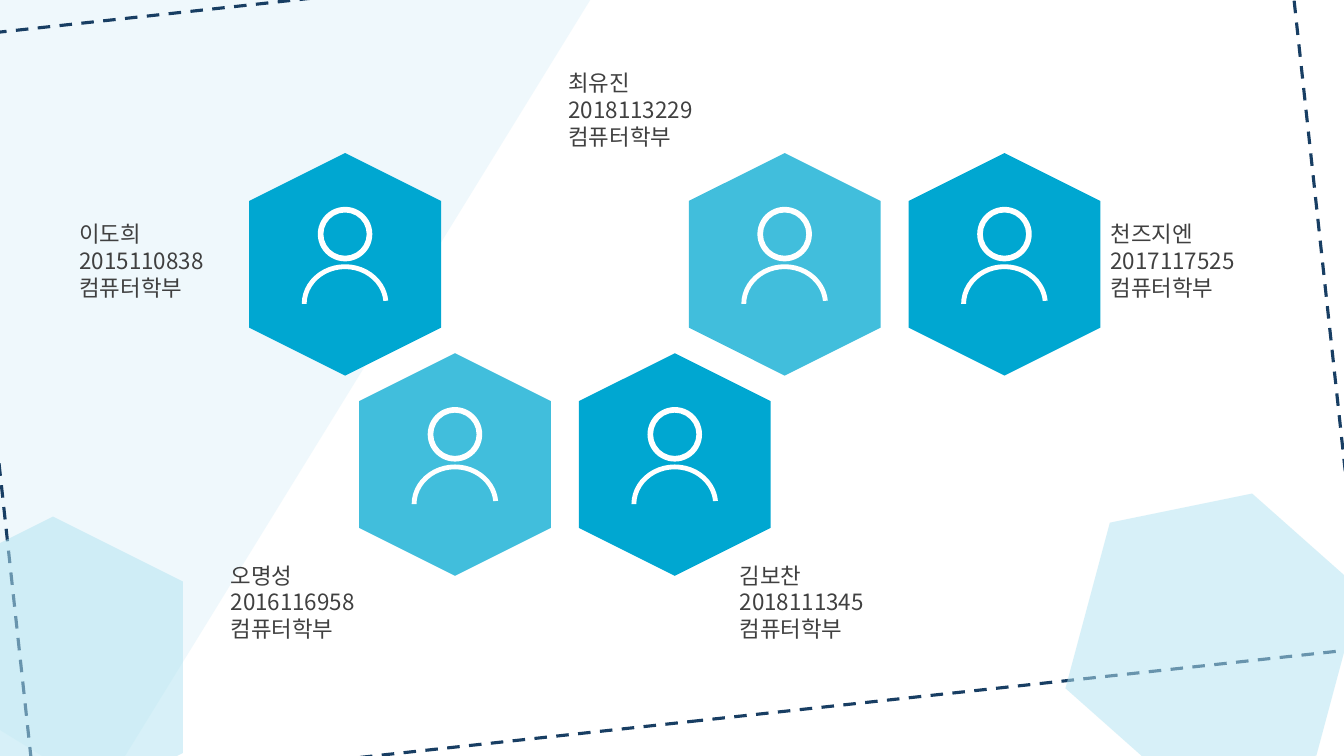
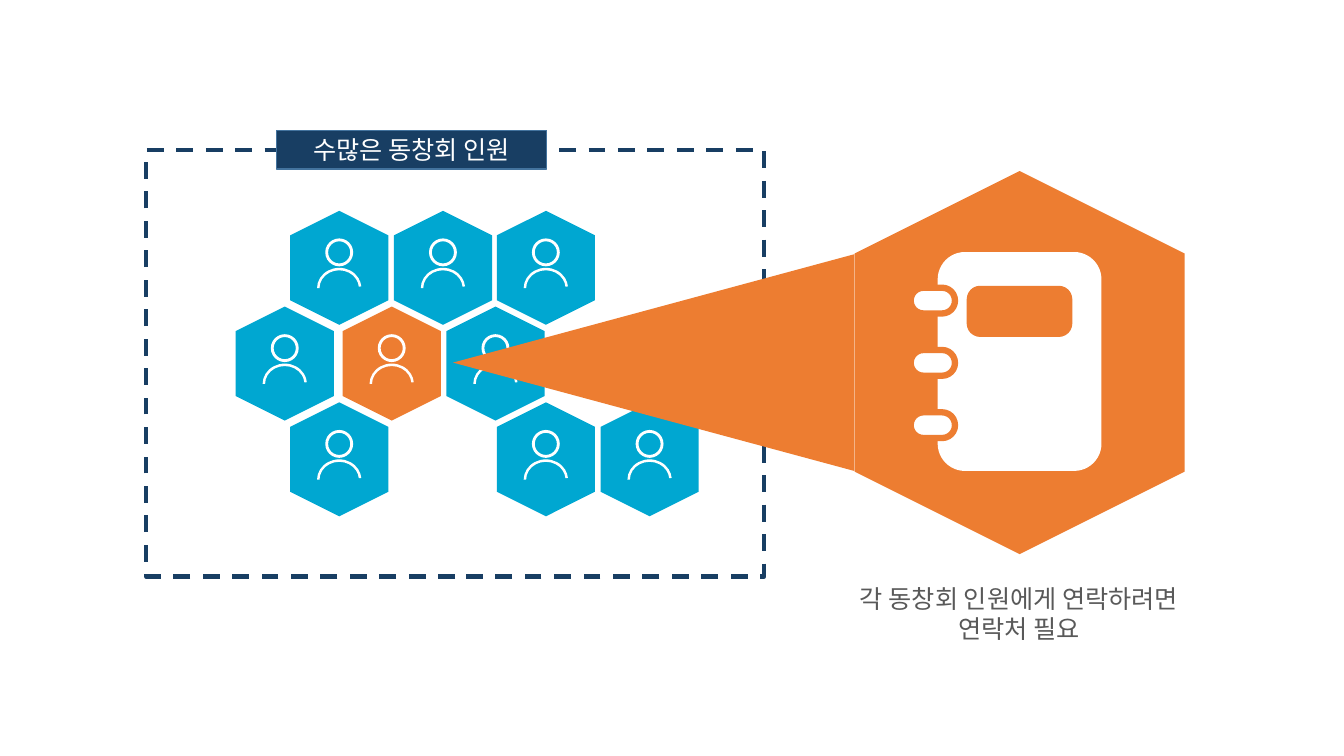
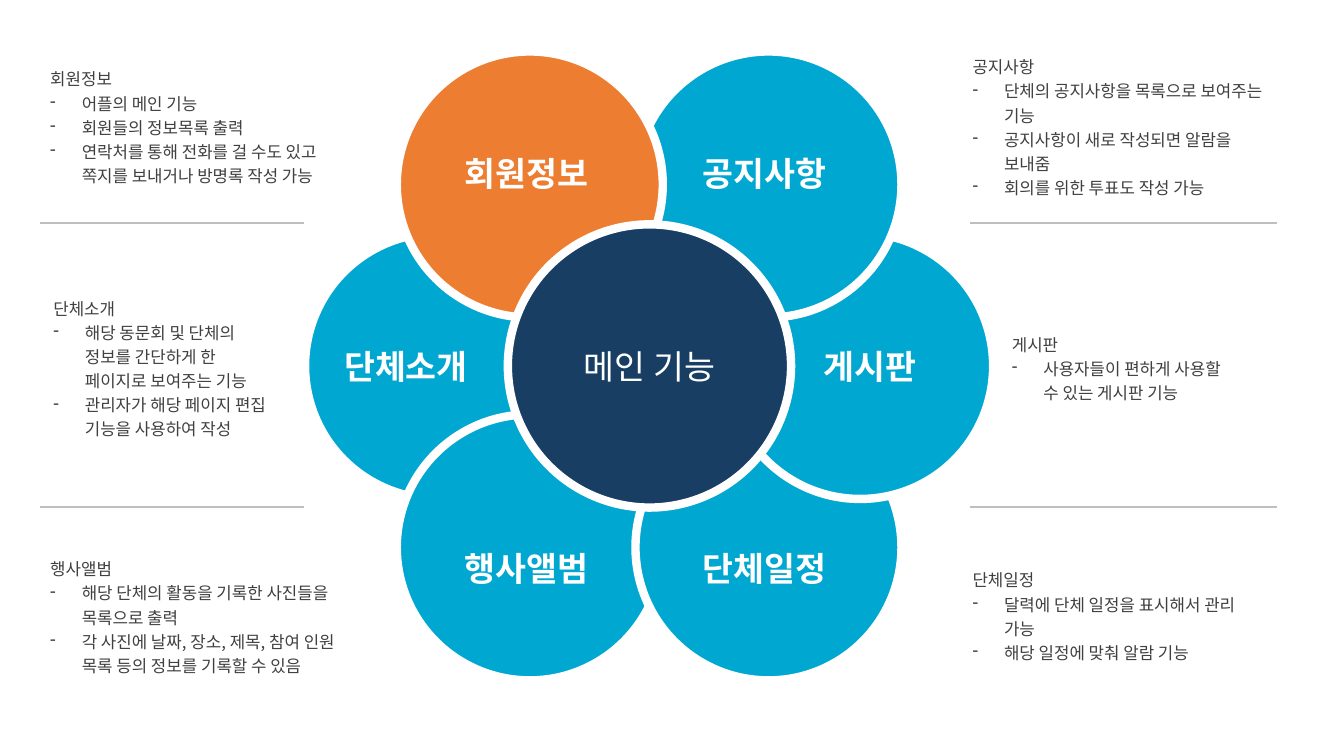
import pptx
import pptx.util
import pptx.dml.color
import pptx.enum.dml
import pptx.enum.shapes
import pptx.enum.text
import pptx.oxml.ns
from lxml import etree

Pt = pptx.util.Pt
SHAPE = pptx.enum.shapes.MSO_SHAPE
ALIGN = pptx.enum.text.PP_ALIGN
DASH = pptx.enum.dml.MSO_LINE.DASH
qn = pptx.oxml.ns.qn

SLIDE_W, SLIDE_H = 960, 540
FONT = "Noto Sans CJK KR"
COLORS = {
    "white": "FFFFFF", "blue": "00A7D1", "sky": "41BEDC", "ice": "B3E4F2",
    "mist": "EEF8FC", "navy": "183E63", "steel": "43739E", "orange": "ED7D31",
    "text": "404040", "caption": "595959", "rule": "BFBFBF",
}
FRAME_FORMAT = {
    "word_wrap": True,
    "vertical_anchor": pptx.enum.text.MSO_ANCHOR.MIDDLE,
    "margin_left": Pt(7.2), "margin_right": Pt(7.2),
    "margin_top": Pt(3.6), "margin_bottom": Pt(3.6),
}


# Shared helpers
def rgb(color):
    return pptx.dml.color.RGBColor.from_string(COLORS[color])


def apply_format(target, values):
    for attribute, value in values.items():
        setattr(target, attribute, value)


def centered(cx, cy, w, h):
    return cx - w / 2, cy - h / 2, w, h


def points(box):
    return [Pt(round(value, 2)) for value in box]


def add_figure(slide, kind, box, fill=None, line=None, rotation=0, adjust=(),
               opacity=None):
    """line is (color, width) or (color, width, dash style)."""
    figure = slide.shapes.add_shape(kind, *points(box))
    figure.shadow.inherit = False
    figure.rotation = rotation
    for index, value in enumerate(adjust):
        figure.adjustments[index] = value
    if fill:
        figure.fill.solid()
        figure.fill.fore_color.rgb = rgb(fill)
        if opacity:
            tint = figure._element.spPr.find(qn("a:solidFill"))[0]
            etree.SubElement(tint, qn("a:alpha"), val=str(opacity * 1000))
    else:
        figure.fill.background()
    if line:
        color, width, *dash = line
        figure.line.color.rgb = rgb(color)
        figure.line.width = Pt(width)
        if dash:
            figure.line.dash_style = dash[0]
    else:
        figure.line.fill.background()
    return figure


def add_bullet(paragraph):
    properties = paragraph._p.get_or_add_pPr()
    properties.set("marL", str(Pt(22.5)))
    properties.set("indent", str(-Pt(22.5)))
    etree.SubElement(properties, qn("a:buFontTx"))
    etree.SubElement(properties, qn("a:buChar"), char="-")


def write(holder, lines, size, color, align=ALIGN.LEFT, bold=False,
          spacing=None, bullets=False):
    frame = holder.text_frame
    apply_format(frame, FRAME_FORMAT)
    for index, line in enumerate(lines):
        paragraph = frame.add_paragraph() if index else frame.paragraphs[0]
        if bullets and index:
            add_bullet(paragraph)
        apply_format(paragraph, {"alignment": align, "line_spacing": spacing})
        run = paragraph.add_run()
        run.text = line
        apply_format(run.font, {"name": FONT, "size": Pt(size), "bold": bold})
        run.font.color.rgb = rgb(color)
        etree.SubElement(run._r.get_or_add_rPr(), qn("a:ea"), typeface=FONT)


def add_text(slide, box, lines, size, color, **style):
    write(slide.shapes.add_textbox(*points(box)), lines, size, color, **style)


def add_hexagon(slide, cx, cy, height, fill, rotation=90, opacity=None):
    box = centered(cx, cy, height, height * 0.862)
    add_figure(slide, SHAPE.HEXAGON, box, fill, rotation=rotation, opacity=opacity)


def add_person_badge(slide, cx, cy, height, fill):
    add_hexagon(slide, cx, cy, height, fill)
    head, shoulders_w, shoulders_h = (height * k for k in (0.245, 0.389, 0.357))
    add_figure(slide, SHAPE.DONUT,
               (cx - head / 2, cy - height * 0.258, head, head),
               "white", adjust=[0.103])
    add_figure(slide, SHAPE.BLOCK_ARC,
               (cx - shoulders_w / 2, cy, shoulders_w, shoulders_h),
               "white", adjust=[108, 213.327, 0.061])


# Slide 1: team members
MEMBERS = [  # column, row, fill, label position, name, student number
    (0, 0, "blue", (49.7, 144), "이도희", "2015110838"),
    (1, 1, "sky", (157.7, 388), "오명성", "2016116958"),
    (3, 1, "blue", (521.3, 388), "김보찬", "2018111345"),
    (4, 0, "sky", (399, 36), "최유진", "2018113229"),
    (6, 0, "blue", (786.2, 144), "천즈지엔", "2017117525"),
]


def team_backdrop(slide, box):
    x, y, w, h = box
    add_figure(slide, SHAPE.RECTANGLE, (x - 84.2, y - 149.8, 360, 671.8),
               "mist", rotation=31.6, opacity=89)


def team_members(slide, box):
    x, y, w, h = box
    for column, row, fill, (label_x, label_y), name, number in MEMBERS:
        add_person_badge(slide, x + 246.5 + column * 78.5,
                         y + 188.8 + row * 143, 159, fill)
        add_text(slide, (x + label_x, y + label_y, 128, 84),
                 [name, number, "컴퓨터학부"], 16, "text")


def team_overlay(slide, box):
    x, y, w, h = box
    add_figure(slide, SHAPE.RECTANGLE, (x - 7.2, y - 26.6, 955.4, 542.9),
               line=("navy", 2.25, DASH), rotation=353.8)
    for cx, cy, rotation in [(866.5, 456.5, 105), (37.8, 476.6, 90)]:
        add_hexagon(slide, x + cx, y + cy, 215.3, "ice", rotation, 52)


def build_team(slide):
    page = (0, 0, SLIDE_W, SLIDE_H)
    team_backdrop(slide, page)
    team_members(slide, page)
    team_overlay(slide, page)


# Slide 2: alumni crowd and the contact book
CROWD_ROWS = [  # badge centres inside the dashed frame
    (137.9, 212, 285.5),
    (99, 249.5),
    (137.9, 285.5, 359.6),
]
BADGE_H = 81.4


def crowd_panel(slide, box):
    x, y, w, h = box
    for row, centers in enumerate(CROWD_ROWS):
        for cx in centers:
            add_person_badge(slide, x + cx, y + 84 + row * 68.4, BADGE_H, "blue")
    add_figure(slide, SHAPE.RECTANGLE, box, line=("navy", 3, DASH))
    heading = add_figure(slide, SHAPE.RECTANGLE, (x + 92.9, y - 14.2, 193.3, 27.6),
                         "navy", ("steel", 1))
    write(heading, ["수많은 동창회 인원"], 18, "white", align=ALIGN.CENTER)


def contact_book(slide, box):
    x, y, w, h = box
    outline = ("orange", 4.5)
    add_figure(slide, SHAPE.ROUNDED_RECTANGLE, box, "white")
    for ring in range(3):
        add_figure(slide, SHAPE.ROUNDED_RECTANGLE,
                   (x - 19.3, y + 25.5 + ring * 44.5, 31.7, 18.4),
                   "white", outline, adjust=[0.5])
    add_figure(slide, SHAPE.ROUNDED_RECTANGLE, (x + 23, y + 26.4, 70.9, 32),
               "orange", outline, adjust=[0.229])


def contact_callout(slide, box):
    x, y, w, h = box
    cx, cy = x + w / 2, y + h / 2
    add_hexagon(slide, cx, cy, h, "orange")
    beam_w, beam_h = 154.8, 286.6
    add_figure(slide, SHAPE.ISOSCELES_TRIANGLE,
               centered(x - beam_h / 2, cy, beam_w, beam_h),
               "orange", rotation=270)
    contact_book(slide, (cx - 58.5, cy - 79, 117, 156.4))


def build_contacts(slide):
    add_text(slide, (586, 397.4, 283.7, 82.1),
             ["각 동창회 인원에게 연락하려면 연락처 필요"],
             18, "caption", align=ALIGN.CENTER)
    crowd_panel(slide, (104.4, 107.3, 441.4, 304.6))
    contact_callout(slide, (610.2, 122.2, 236.2, 273.6))
    add_person_badge(slide, 279.8, 259.7, BADGE_H, "orange")


# Slide 3: main features
PETALS = [  # label, fill, petal offset from hub, label offset from hub
    ("단체소개", "blue", (-151, 0), (-173.9, 0)),
    ("행사앨범", "blue", (-85.5, 129.6), (-88, 144)),
    ("단체일정", "blue", (85, 129.6), (82, 144)),
    ("게시판", "blue", (150.5, 0), (157.6, 0)),
    ("공지사항", "blue", (85, -129.6), (82, -138)),
    ("회원정보", "orange", (-85.5, -129.6), (-88, -138)),
]
LEFT_RULE, RIGHT_RULE = (28.8, 217.4), (692.6, 912.2)
FEATURES = [  # text box, title followed by its points
    ((28.8, 28.8, 236.9, 121.7), [
        "회원정보", "어플의 메인 기능", "회원들의 정보목록 출력",
        "연락처를 통해 전화를 걸 수도 있고 쪽지를 보내거나 방명록 작성 가능"]),
    ((31, 184.3, 174.2, 155.5), [
        "단체소개", "해당 동문회 및 단체의 정보를 간단하게 한 페이지로 보여주는 기능",
        "관리자가 해당 페이지 편집 기능을 사용하여 작성"]),
    ((28.8, 378.7, 236.9, 121.7), [
        "행사앨범", "해당 단체의 활동을 기록한 사진들을 목록으로 출력",
        "각 사진에 날짜, 장소, 제목, 참여 인원 목록 등의 정보를 기록할 수 있음"]),
    ((687.6, 28.8, 223.9, 121.7), [
        "공지사항", "단체의 공지사항을 목록으로 보여주는 기능",
        "공지사항이 새로 작성되면 알람을 보내줌", "회의를 위한 투표도 작성 가능"]),
    ((715.7, 184.3, 174.2, 155.5), [
        "게시판", "사용자들이 편하게 사용할 수 있는 게시판 기능"]),
    ((687.6, 378, 223.9, 121.7), [
        "단체일정", "달력에 단체 일정을 표시해서 관리 가능", "해당 일정에 맞춰 알람 기능"]),
]


def add_rule(slide, start, end, y):
    rule = slide.shapes.add_connector(pptx.enum.shapes.MSO_CONNECTOR.STRAIGHT,
                                      Pt(start), Pt(y), Pt(end), Pt(y))
    rule.line.color.rgb = rgb("rule")
    rule.line.width = Pt(1.5)
    etree.SubElement(rule._element.spPr, qn("a:effectLst"))


def feature_flower(slide, box):
    x, y, w, h = box
    cx, cy = x + w / 2, y + h / 2
    edge = ("white", 6)
    for label, fill, (dx, dy), (label_dx, label_dy) in PETALS:
        add_figure(slide, SHAPE.OVAL, centered(cx + dx, cy + dy, 190, 190),
                   fill, edge)
        add_text(slide, centered(cx + label_dx, cy + label_dy, 111, 54),
                 [label], 24, "white", align=ALIGN.CENTER, bold=True)
    hub = add_figure(slide, SHAPE.OVAL, centered(cx, cy, 202.3, 202.3), "navy", edge)
    write(hub, ["메인 기능"], 24, "white", align=ALIGN.CENTER)


def build_features(slide):
    for start, end in (LEFT_RULE, RIGHT_RULE):
        for y in (159.1, 362.2):
            add_rule(slide, start, end, y)
    feature_flower(slide, (217.9, 36.7, 492, 449.4))
    for box, lines in FEATURES:
        add_text(slide, box, lines, 12, "text", spacing=1.2, bullets=True)


def main():
    deck = pptx.Presentation()
    deck.slide_width, deck.slide_height = Pt(SLIDE_W), Pt(SLIDE_H)
    blank = deck.slide_layouts[6]
    for build in (build_team, build_contacts, build_features):
        build(deck.slides.add_slide(blank))
    deck.save("out.pptx")


if __name__ == "__main__":
    main()
